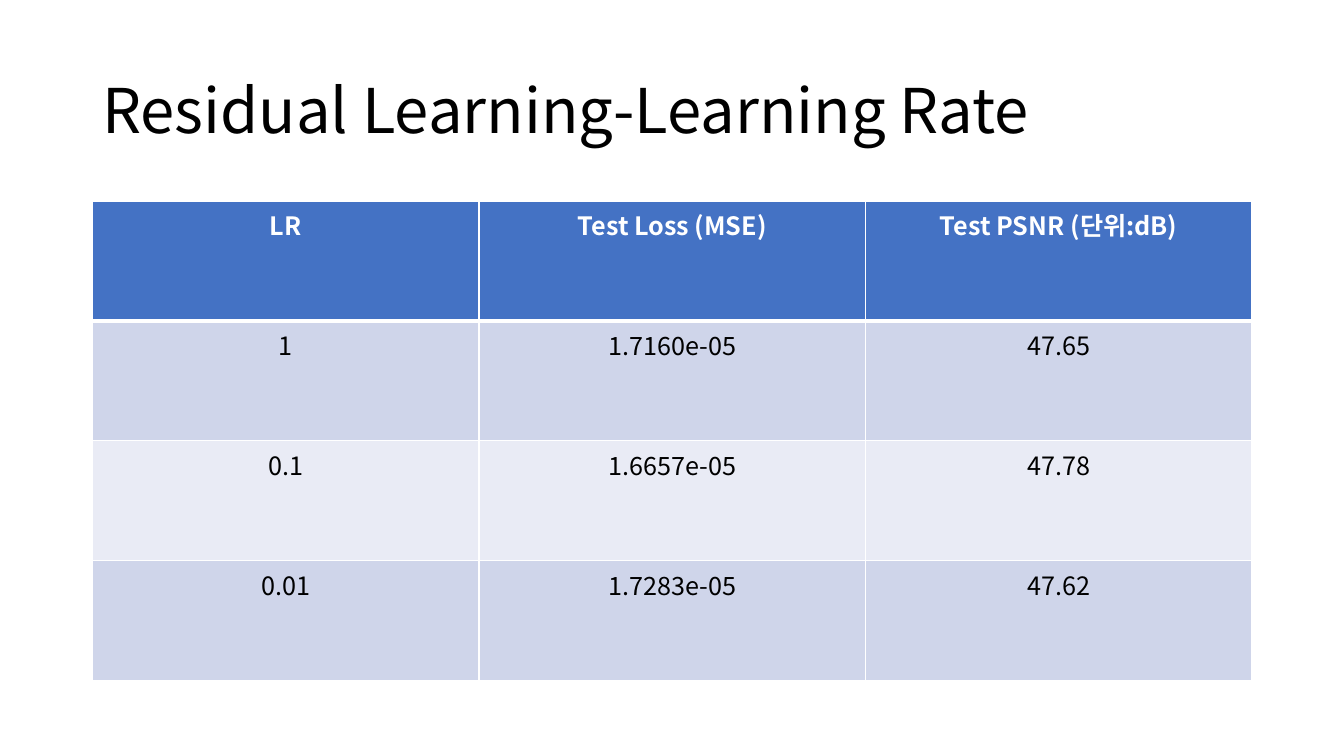
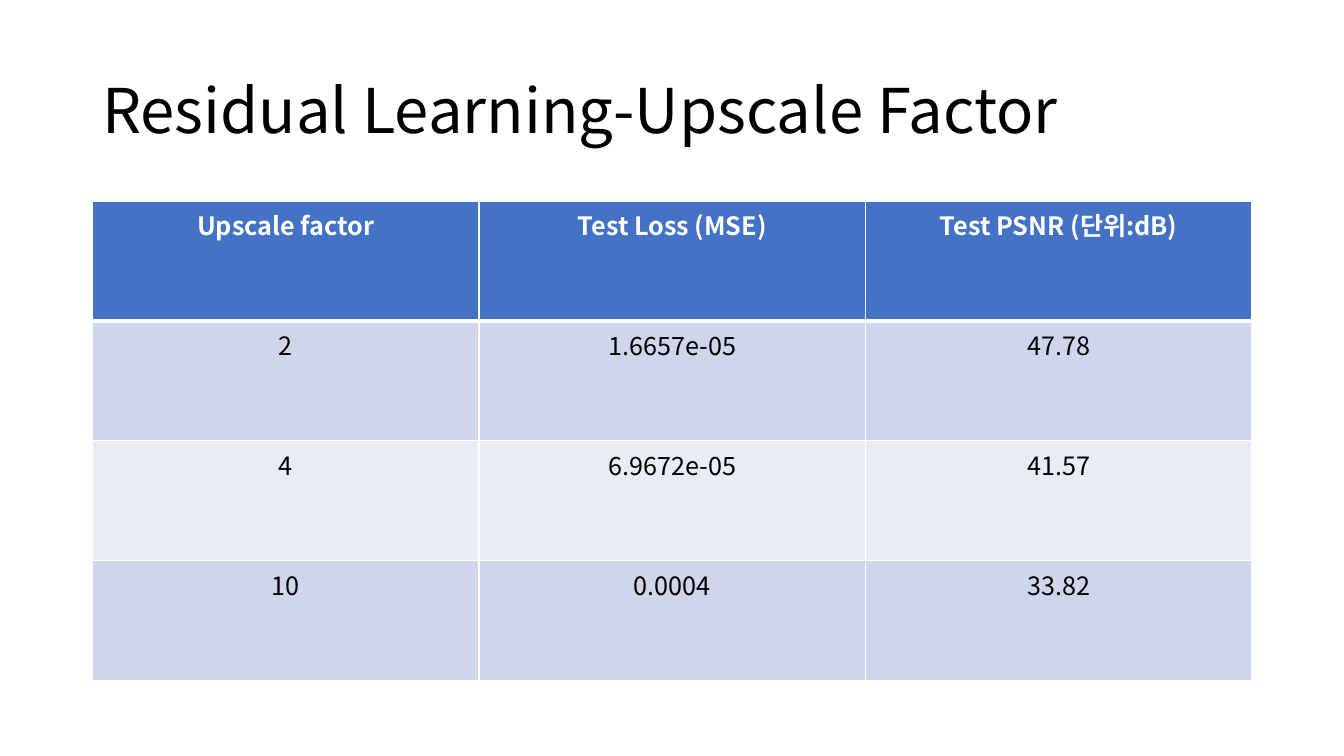
from lxml.etree import SubElement
from pptx import Presentation
from pptx.dml.color import RGBColor
from pptx.enum.text import MSO_ANCHOR, PP_ALIGN
from pptx.oxml import parse_xml
from pptx.oxml.ns import nsdecls, qn
from pptx.util import Cm, Pt

FONT = "Noto Sans CJK KR"
BLACK = RGBColor(0x00, 0x00, 0x00)
WHITE = RGBColor(0xFF, 0xFF, 0xFF)
HEADER_BLUE = RGBColor(0x44, 0x72, 0xC4)
BAND_FILLS = (RGBColor(0xCF, 0xD5, 0xEA), RGBColor(0xE9, 0xEB, 0xF5))

LEFT = Cm(2.33)
COLUMN_WIDTH = Cm(9.74)
ROW_HEIGHT = Cm(3.02)
THIN, THICK = Pt(1), Pt(3)

MEASURES = ("Test Loss (MSE)", "Test PSNR (단위:dB)")
RESULTS = (
    (
        "Residual Learning-Learning Rate",
        (
            ("LR", *MEASURES),
            ("1", "1.7160e-05", "47.65"),
            ("0.1", "1.6657e-05", "47.78"),
            ("0.01", "1.7283e-05", "47.62"),
        ),
    ),
    (
        "Residual Learning-Upscale Factor",
        (
            ("Upscale factor", *MEASURES),
            ("2", "1.6657e-05", "47.78"),
            ("4", "6.9672e-05", "41.57"),
            ("10", "0.0004", "33.82"),
        ),
    ),
)


def write_text(frame, text, size=18, color=BLACK, bold=False,
               align=PP_ALIGN.LEFT, line_spacing=None):
    """Write one formatted paragraph into a text frame."""
    paragraph = frame.paragraphs[0]
    paragraph.alignment = align
    paragraph.line_spacing = line_spacing
    run = paragraph.add_run()
    run.text = text
    run.font.name = FONT
    run.font.size = Pt(size)
    run.font.bold = bold
    run.font.color.rgb = color
    SubElement(run.font._element, qn("a:ea"), typeface=FONT)


class Deck:
    """Hold the shared style and the current slide."""

    def __init__(self):
        """Start an empty widescreen presentation."""
        self.presentation = Presentation()
        self.presentation.slide_width = Cm(33.87)
        self.presentation.slide_height = Cm(19.05)
        self.slide = None

    def add_slide(self):
        """Add a blank slide and make it current."""
        blank_layout = self.presentation.slide_layouts[6]
        self.slide = self.presentation.slides.add_slide(blank_layout)

    def add_title(self, text):
        """Add the slide title."""
        box = self.slide.shapes.add_textbox(LEFT, Cm(1.01), 3 * COLUMN_WIDTH, Cm(3.68))
        frame = box.text_frame
        frame.word_wrap = True
        frame.vertical_anchor = MSO_ANCHOR.MIDDLE
        write_text(frame, text, size=44, line_spacing=0.9)

    def add_table(self, rows):
        """Add a banded table whose first row is the header."""
        row_count, column_count = len(rows), len(rows[0])
        table = self.slide.shapes.add_table(
            row_count, column_count, LEFT, Cm(5.07),
            column_count * COLUMN_WIDTH, row_count * ROW_HEIGHT,
        ).table
        for column in table.columns:
            column.width = COLUMN_WIDTH
        for row_index, values in enumerate(rows):
            table.rows[row_index].height = ROW_HEIGHT
            for column_index, value in enumerate(values):
                self.fill_cell(table.cell(row_index, column_index), value, row_index)

    def fill_cell(self, cell, text, row_index):
        """Style one cell according to its row."""
        is_header = row_index == 0
        cell.fill.solid()
        cell.fill.fore_color.rgb = (
            HEADER_BLUE if is_header else BAND_FILLS[(row_index - 1) % 2]
        )
        write_text(cell.text_frame, text, color=WHITE if is_header else BLACK,
                   bold=is_header, align=PP_ALIGN.CENTER)
        top = THICK if row_index == 1 else THIN
        bottom = THICK if is_header else THIN
        self.add_borders(cell, L=THIN, R=THIN, T=top, B=bottom)

    def add_borders(self, cell, **widths):
        """Draw white cell borders, given in left, right, top, bottom order."""
        properties = cell._tc.get_or_add_tcPr()
        for index, (side, width) in enumerate(widths.items()):
            border = parse_xml(
                f'<a:ln{side} {nsdecls("a")} w="{width}"><a:solidFill>'
                f'<a:srgbClr val="{WHITE}"/></a:solidFill></a:ln{side}>'
            )
            properties.insert(index, border)


def main():
    """Build and save the result slides."""
    deck = Deck()
    for title, rows in RESULTS:
        deck.add_slide()
        deck.add_title(title)
        deck.add_table(rows)
    deck.presentation.save("out.pptx")


if __name__ == "__main__":
    main()
